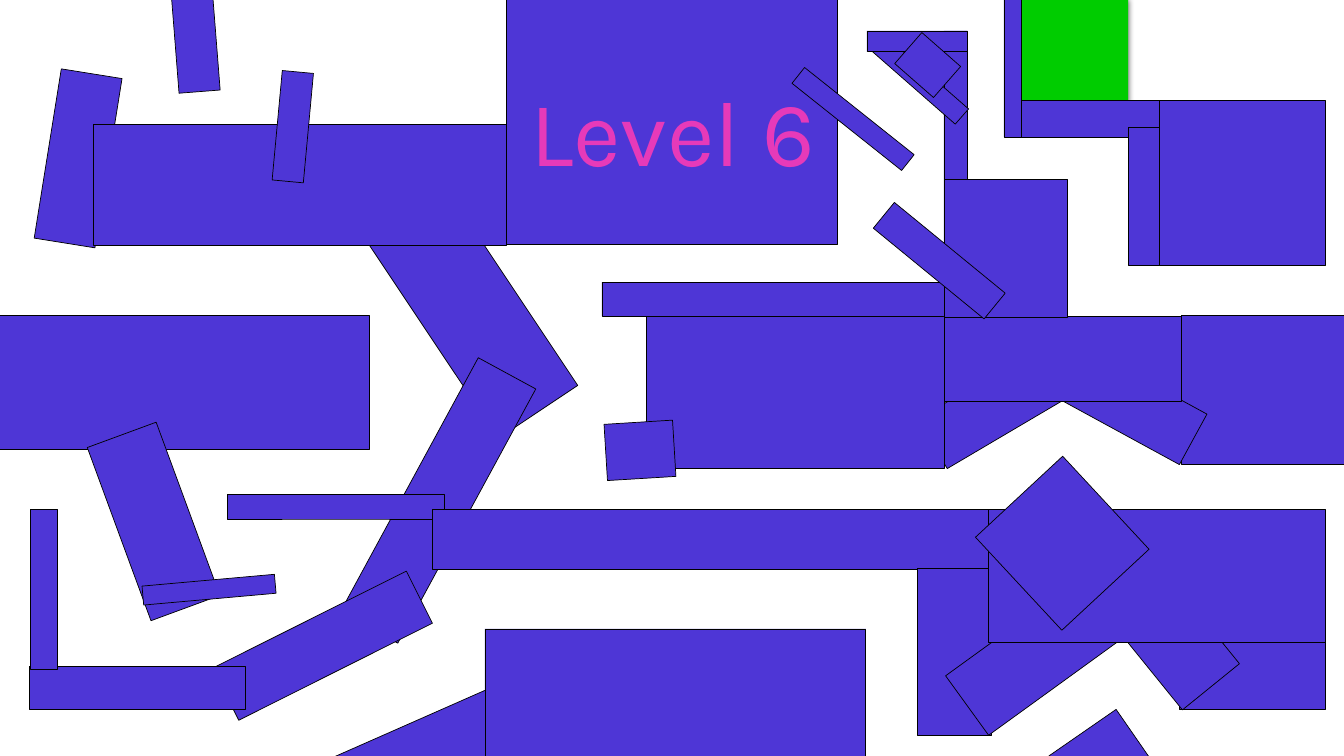
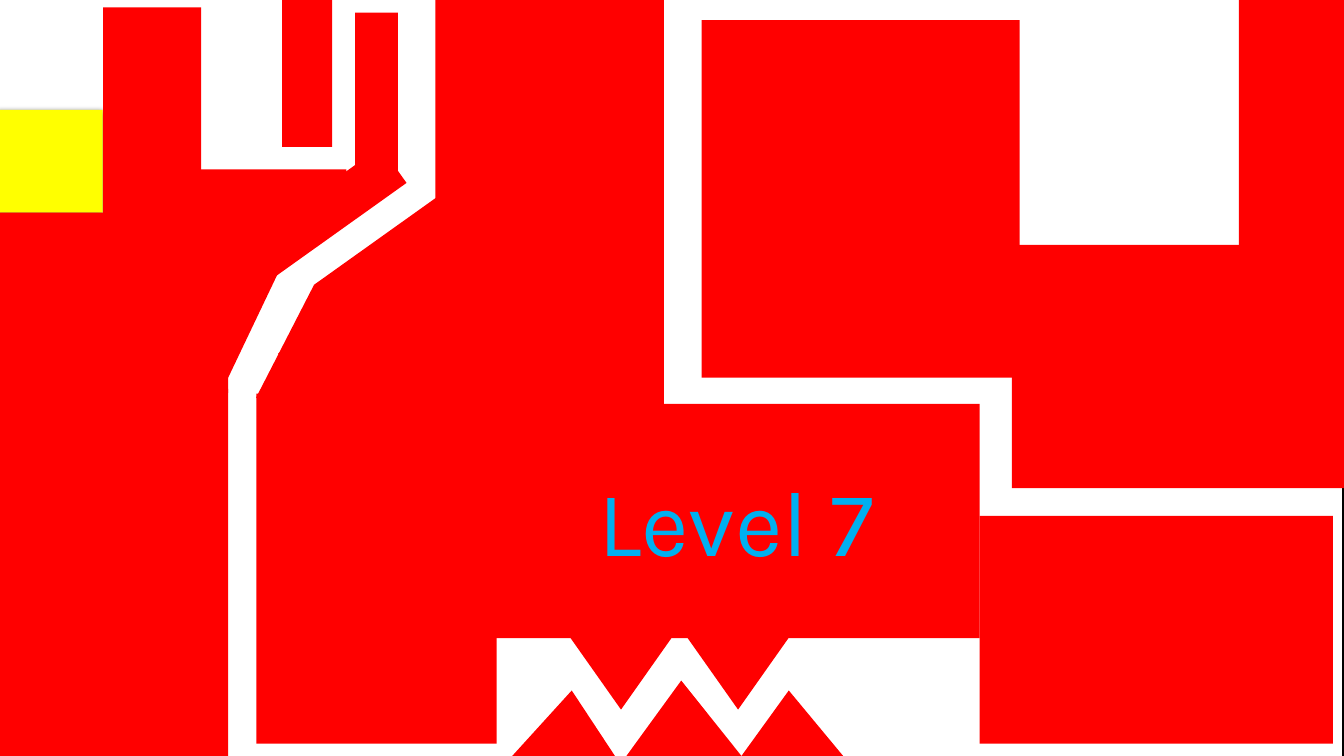
from lxml.etree import SubElement
from pptx import Presentation
from pptx.dml.color import RGBColor
from pptx.enum.shapes import MSO_SHAPE
from pptx.enum.text import MSO_AUTO_SIZE, PP_ALIGN
from pptx.oxml.ns import qn
from pptx.util import Cm, Pt

COLORS = {
    "black": "000000",
    "white": "FFFFFF",
    "green": "00CC00",
    "violet": "4E36D6",
    "pink": "E63AB9",
    "yellow": "FFFF00",
    "red": "FF0000",
    "sky": "00B0F0",
}
FONT = "Karla"
W, H = 33.87, 19.05
TITLE_W, TITLE_H = 9.07, 3.07
GOAL_W, GOAL_H = 2.67, 2.59
BLEED = 0.2


def rgb(name):
    return RGBColor.from_string(COLORS[name])


def add_block(s, left, top, right, bottom, fill, outline=None, angle=0, kind=MSO_SHAPE.RECTANGLE):
    sp = s.shapes.add_shape(kind, Cm(left), Cm(top), Cm(right - left), Cm(bottom - top))
    sp.rotation = angle
    sp.shadow.inherit = False
    sp.fill.solid()
    sp.fill.fore_color.rgb = rgb(fill)
    if outline:
        sp.line.color.rgb = rgb(outline)
        sp.line.width = Pt(0.5)
    else:
        sp.line.fill.background()
    return sp


title_x, title_y = 12.76, 6.16
hub_x, hub_y = 23.79, 7.97
tower_y = 4.52
east_x, edge_x = 29.78, 33.4
lane_y, hall_x, hall_y = 12.83, 24.91, 16.18
floor_y = 17.88
hook_y, chimney_x = 0.78, 24.38
goal_x, goal_y = 25.74, 2.54
sill_x, sill_y = 29.21, 3.46

level_6_walls = {
    "title block": (title_x, -BLEED, 21.11, title_y),
    "west block": (-BLEED, 7.96, 9.32, 11.32),
}
level_6_walls |= {
    "bottom ramp": (11.75, 19.38, 10.08, 3.25, -23.8),
    "chute": (11.93, 7.94, 5.87, 2.41, 56.3),
    "long drop": (11.04, 12.61, 7.29, 1.65, -61.5),
    "leaning slab": (1.97, 3.99, 4.32, 1.55, -80.9),
    "upper hall": (2.36, 3.14, title_x, title_y + 0.02),
    "hanging post": (4.91, 0.79, 3.05, 1.04, 85.5),
    "crossing post": (7.38, 3.19, 2.77, 0.79, -84.7),
    "shelf": (5.73, 12.45, 11.2, 13.08),
    "plank": (3.87, 13.14, 4.65, 1.85, 69.8),
    "low slope": (8.13, 16.27, 5.46, 1.47, -26.6),
    "twig": (5.27, 14.86, 3.35, 0.48, -5.1),
    "west floor": (0.74, 16.79, 6.19, floor_y),
    "west post": (0.76, lane_y, 1.45, 16.87),
    "bottom block": (12.22, 15.85, 21.82, H),
    "lane": (10.9, lane_y, hall_x, 14.35),
    "pier": (23.12, 14.33, 24.98, 18.53),
    "pier brace": (26.07, 16.55, 4.19, 1.85, -35.9),
    "bottom wedge": (27.75, 19.14, 2.06, 1.65, -34.7),
    "hall foot": (29.72, hall_y, edge_x, floor_y),
    "foot brace": (29.2, 15.68, 4.19, 1.85, 51),
    "hall": (hall_x, lane_y, edge_x, hall_y),
    "east block": (east_x, 7.96, W + BLEED, 11.71),
    "right bridge brace": (28.23, 10.07, 4.19, 1.45, 28.6),
    "left bridge brace": (25.31, 10.12, 4.19, 1.45, -30.5),
    "diamond": (26.77, 13.69, 3.2, 3, 47.1),
    "bridge": (hub_x, hub_y, east_x, 10.11),
    "middle block": (16.29, hub_y, hub_x, 11.8),
    "cube": (16.13, 11.35, 1.73, 1.42, -3.5),
    "roof": (15.17, 7.11, hub_x, hub_y),
    "tower": (hub_x, tower_y, 26.9, hub_y + 0.03),
    "goal post": (25.3, -BLEED, goal_x, sill_y),
    "chimney": (hub_x, hook_y, chimney_x, tower_y),
    "tower slide": (23.67, 6.57, 3.61, 0.84, 39.3),
    "title slide": (21.5, 3, 3.53, 0.51, 38.5),
    "hook brace": (23.18, 2.01, 2.82, 0.51, 41.2),
    "hook": (21.85, hook_y, chimney_x, 1.3),
    "hook knot": (23.38, 1.64, 1.3, 1.04, 41.2),
    "goal sill": (goal_x, goal_y, sill_x, sill_y),
    "corner post": (28.43, 3.2, sill_x, 6.69),
    "corner block": (sill_x, goal_y, edge_x, 6.69),
}

west_x, ledge_y = 5.75, 5.57
column_x, title_hall_y, teeth_y = 12.32, 10.28, 16.08
gate_x = 24.69
path_angle = -35.5

level_7_walls = {
    "upper block": (17.68, 0.51, 25.7, 9.52),
    "title column": (column_x, 0, 16.73, title_hall_y),
    "title hall": (column_x, title_hall_y - 0.1, gate_x, teeth_y),
    "east hall": (25.5, 6.17, W + BLEED, 12.3),
    "corner column": (31.22, -BLEED, W + BLEED, 7),
    "gate block": (gate_x, 13, 33.59, 18.74),
    "south block": (6.46, 9.92, column_x + BLEED, 18.74),
    "west floor": (-BLEED, 9.8, west_x, H),
    "west wall": (-BLEED, 5.36, west_x, 9.9),
    "lower west bank": (5.65, 8.43, 4.5, 1.12, -64.5),
    "upper west bank": (8.09, 5.46, 4.5, 1.12, path_angle),
    "lower east bank": (7.68, 8.86, 3.18, 1.12, -62.8),
    "upper east bank": (10.02, 6.27, 4.5, 0.97, path_angle),
    "bank core": (11.11, 8.9, 6.68, 4.75, path_angle),
    "column side": (10.97, -BLEED, column_x + BLEED, 5.35),
    "pillar": (8.95, 0.32, 10.03, 4.76),
    "stalactite": (7.11, -BLEED, 8.37, 3.7),
    "ledge": (3.78, 4.27, 8.73, ledge_y),
    "west column": (2.6, 0.19, 5.07, ledge_y),
    "bank filler": (6.18, 6.03, 1.91, 1.35, -47.1),
}

levels = [
    {"title": "Level 6", "title_at": (12.42, 1.75), "title_color": "pink",
     "floor_at": (-0.03, -0.03), "goal_at": (25.76, -0.05), "goal": "green",
     "wall": "violet", "outline": "black", "walls": level_6_walls},
    {"title": "Level 7", "title_at": (14.02, 11.56), "title_color": "sky",
     "floor_at": (-0.08, 0), "goal_at": (-0.08, 2.77), "goal": "yellow",
     "wall": "red", "outline": None, "walls": level_7_walls},
]

prs = Presentation()
prs.slide_width = Cm(W)
prs.slide_height = Cm(H)

for level in levels:
    s = prs.slides.add_slide(prs.slide_layouts[6])
    s.background.fill.solid()
    s.background.fill.fore_color.rgb = rgb("black")
    x, y = level["floor_at"]
    add_block(s, x, y, x + W + 0.03, y + H + 0.03, "white")

    x, y = level["goal_at"]
    goal = add_block(s, x, y, x + GOAL_W, y + GOAL_H, level["goal"])
    effects = goal._element.spPr.find(qn("a:effectLst"))
    shadow = SubElement(effects, qn("a:outerShdw"), blurRad=str(Pt(4.5)),
                        dist=str(Pt(1.5)), dir="5400000", algn="ctr", rotWithShape="0")
    tint = SubElement(shadow, qn("a:srgbClr"), val=COLORS["black"])
    SubElement(tint, qn("a:alpha"), val="63000")

    for wall in level["walls"].values():
        if len(wall) == 5:
            center_x, center_y, length, thickness, angle = wall
            left, right = center_x - length / 2, center_x + length / 2
            top, bottom = center_y - thickness / 2, center_y + thickness / 2
        else:
            left, top, right, bottom = wall
            angle = 0
        add_block(s, left, top, right, bottom, level["wall"], level["outline"], angle)

    x, y = level["title_at"]
    tb = s.shapes.add_textbox(Cm(x), Cm(y), Cm(TITLE_W), Cm(TITLE_H))
    tf = tb.text_frame
    tf.word_wrap = True
    tf.auto_size = MSO_AUTO_SIZE.SHAPE_TO_FIT_TEXT
    tf.text = level["title"]
    p = tf.paragraphs[0]
    p.alignment = PP_ALIGN.CENTER
    r = p.runs[0]
    r.font.name = FONT
    r.font.size = Pt(66)
    r.font.color.rgb = rgb(level["title_color"])

tooth_w, tooth_h = 2.54, 1.8
for tip_x in (15.65, 18.6):
    add_block(s, tip_x - tooth_w / 2, teeth_y, tip_x + tooth_w / 2, teeth_y + tooth_h,
              "red", angle=180, kind=MSO_SHAPE.ISOSCELES_TRIANGLE)

spike_base_y = H + 0.23
for left, tip_x, right, tip_y in [
    (12.7, 14.41, 15.65, 17.4),
    (15.62, 17.17, 18.87, 17.15),
    (18.52, 19.88, 21.44, 17.4),
]:
    spike = add_block(s, left, tip_y, right, spike_base_y, "red", kind=MSO_SHAPE.ISOSCELES_TRIANGLE)
    spike.adjustments[0] = (tip_x - left) / (right - left)

prs.save("out.pptx")
